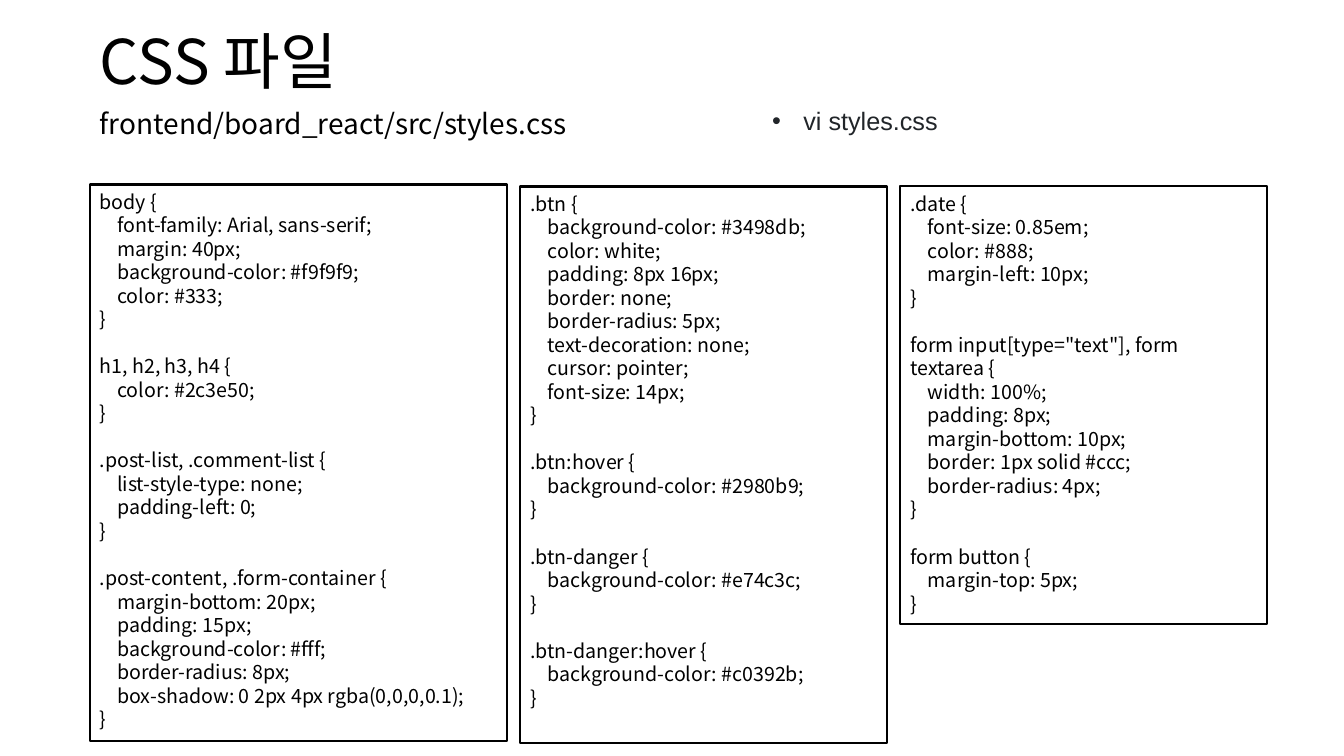
from dataclasses import dataclass

import lxml.etree
import pptx
import pptx.dml.color
import pptx.enum.shapes
import pptx.enum.text
import pptx.oxml.ns
import pptx.util

Inches = pptx.util.Inches
Pt = pptx.util.Pt
BLACK = pptx.dml.color.RGBColor(0x00, 0x00, 0x00)
WHITE = pptx.dml.color.RGBColor(0xFF, 0xFF, 0xFF)
CHARCOAL = pptx.dml.color.RGBColor(0x21, 0x25, 0x29)
KOREAN_FONT = "Noto Sans CJK KR"
LEFT = pptx.enum.text.PP_ALIGN.LEFT
TOP = pptx.enum.text.MSO_ANCHOR.TOP


@dataclass
class CodePanel:
    left: float
    top: float
    width: float
    height: float
    code: str


PANELS = [
    CodePanel(0.89, 1.83, 4.14, 5.52, """body {
    font-family: Arial, sans-serif;
    margin: 40px;
    background-color: #f9f9f9;
    color: #333;
}

h1, h2, h3, h4 {
    color: #2c3e50;
}

.post-list, .comment-list {
    list-style-type: none;
    padding-left: 0;
}

.post-content, .form-container {
    margin-bottom: 20px;
    padding: 15px;
    background-color: #fff;
    border-radius: 8px;
    box-shadow: 0 2px 4px rgba(0,0,0,0.1);
}"""),
    CodePanel(5.16, 1.85, 3.64, 5.52, """.btn {
    background-color: #3498db;
    color: white;
    padding: 8px 16px;
    border: none;
    border-radius: 5px;
    text-decoration: none;
    cursor: pointer;
    font-size: 14px;
}

.btn:hover {
    background-color: #2980b9;
}

.btn-danger {
    background-color: #e74c3c;
}

.btn-danger:hover {
    background-color: #c0392b;
}"""),
    CodePanel(8.93, 1.85, 3.64, 4.34, """.date {
    font-size: 0.85em;
    color: #888;
    margin-left: 10px;
}

form input[type="text"], form textarea {
    width: 100%;
    padding: 8px;
    margin-bottom: 10px;
    border: 1px solid #ccc;
    border-radius: 4px;
}

form button {
    margin-top: 5px;
}"""),
]


def style(para, size: float, color=BLACK, font: str = KOREAN_FONT) -> None:
    para.alignment = LEFT
    para.font.name = font
    para.font.size = Pt(size)
    para.font.color.rgb = color


def add_title(page) -> None:
    title = page.shapes.title
    title.left, title.top = Inches(0.89), Inches(0.26)
    title.width, title.height = Inches(11.73), Inches(0.94)
    title.text_frame.text = "CSS 파일"
    title.text_frame.vertical_anchor = TOP
    para = title.text_frame.paragraphs[0]
    style(para, 44)
    para.line_spacing = 0.9
    span_properties = para.runs[0].font._element
    east_asian = lxml.etree.SubElement(span_properties, pptx.oxml.ns.qn("a:ea"))
    east_asian.set("typeface", KOREAN_FONT)


def add_label(page, left: float, top: float, width: float, height: float, text: str):
    box = page.shapes.add_textbox(Inches(left), Inches(top), Inches(width), Inches(height))
    box.text_frame.word_wrap = True
    box.text_frame.text = text
    return box.text_frame.paragraphs[0]


def add_bullet(para) -> None:
    properties = para._p.get_or_add_pPr()
    properties.set("marL", str(Inches(0.31)))
    properties.set("indent", str(-Inches(0.31)))
    bullet_font = lxml.etree.SubElement(properties, pptx.oxml.ns.qn("a:buFont"))
    bullet_font.set("typeface", "Arial")
    bullet = lxml.etree.SubElement(properties, pptx.oxml.ns.qn("a:buChar"))
    bullet.set("char", "•")


def add_code_panel(page, panel: CodePanel) -> None:
    box = page.shapes.add_shape(
        pptx.enum.shapes.MSO_SHAPE.RECTANGLE,
        Inches(panel.left), Inches(panel.top), Inches(panel.width), Inches(panel.height))
    box.shadow.inherit = False
    box.fill.solid()
    box.fill.fore_color.rgb = WHITE
    box.line.color.rgb = BLACK
    box.line.width = Pt(1.5)
    box.text_frame.word_wrap = True
    box.text_frame.vertical_anchor = TOP
    box.text_frame.text = panel.code
    for para in box.text_frame.paragraphs:
        style(para, 14)
        para.line_spacing = Pt(16.8)


def main() -> None:
    deck = pptx.Presentation()
    deck.slide_width, deck.slide_height = Inches(13.33), Inches(7.5)
    page = deck.slides.add_slide(deck.slide_layouts.get_by_name("Title Only"))
    add_title(page)
    style(add_label(page, 0.89, 1.01, 7.11, 0.44, "frontend/board_react/src/styles.css"), 20)
    command = add_label(page, 7.56, 1, 3.64, 0.4, "vi styles.css")
    add_bullet(command)
    style(command, 18, CHARCOAL, "Arial")
    for panel in PANELS:
        add_code_panel(page, panel)
    deck.save("out.pptx")


if __name__ == "__main__":
    main()
